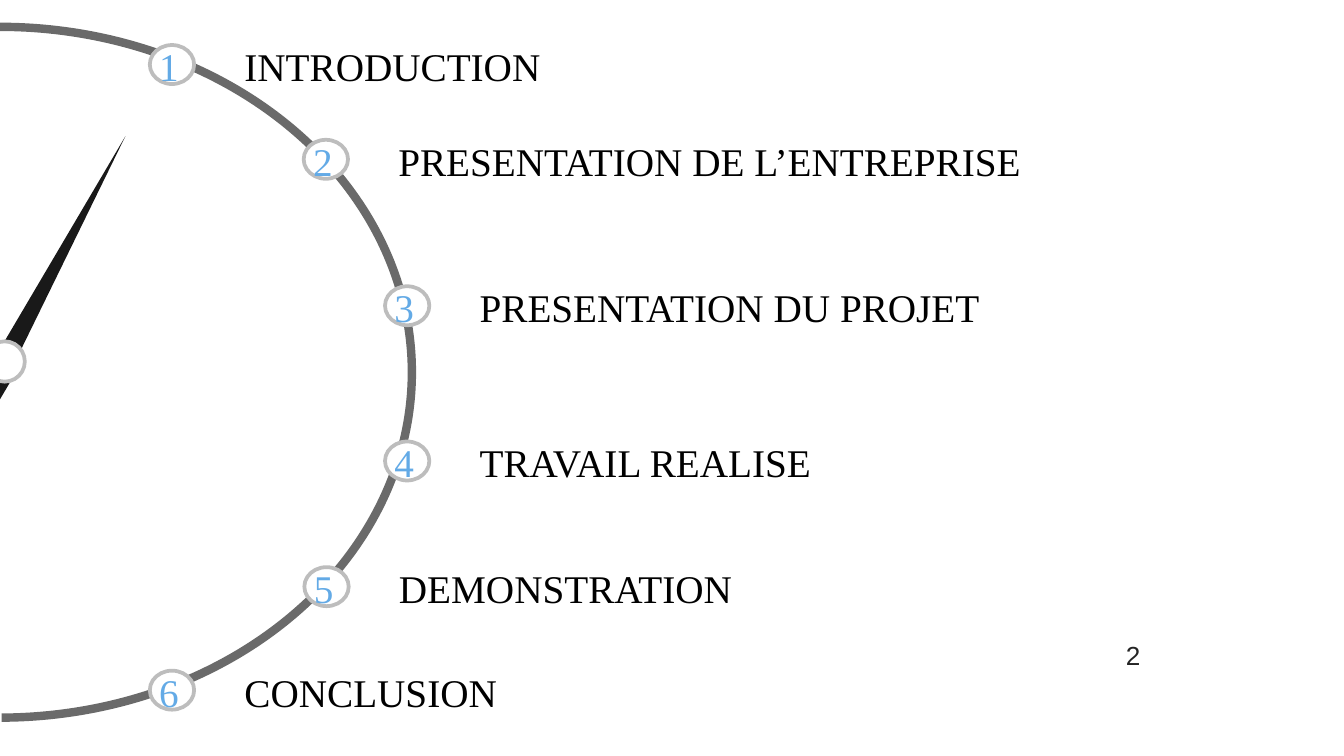
from dataclasses import dataclass

from pptx import Presentation
from pptx.dml.color import RGBColor
from pptx.enum.shapes import MSO_SHAPE
from pptx.enum.text import MSO_ANCHOR, MSO_AUTO_SIZE, PP_ALIGN
from pptx.util import Emu, Pt

EMU_PER_PX = 4572


@dataclass(frozen=True)
class Theme:
    """Colours, fonts and type sizes of the agenda."""

    background: str = "FFFFFF"
    hand: str = "191919"
    dial: str = "6A6A6A"
    ring: str = "BDBDBD"
    number: str = "63AAE6"
    title: str = "000000"
    page_number: str = "242424"
    agenda_font: str = "Times New Roman"
    page_font: str = "Arial"
    agenda_size: int = 21
    page_size: int = 14


THEME = Theme()

AGENDA = [
    ("INTRODUCTION", 223, 67, 656),
    ("PRESENTATION DE L’ENTREPRISE", 452, 208, 1044),
    ("PRESENTATION DU PROJET", 573, 426, 876),
    ("TRAVAIL REALISE", 573, 657, 656),
    ("DEMONSTRATION", 453, 844, 1226),
    ("CONCLUSION", 223, 998, 656),
]


def px(length):
    """Turn a length in px into EMU."""
    return Emu(length * EMU_PER_PX)


def add_text(slide, text, box, *, font, size, color, inset=20, grow=True):
    """Add a left-aligned text box in the given format."""
    shape = slide.shapes.add_textbox(*map(px, box))
    frame = shape.text_frame
    frame.word_wrap = True
    frame.auto_size = MSO_AUTO_SIZE.SHAPE_TO_FIT_TEXT if grow else MSO_AUTO_SIZE.NONE
    frame.vertical_anchor = MSO_ANCHOR.TOP
    frame.margin_left = frame.margin_right = px(inset)
    frame.margin_top = frame.margin_bottom = px(10)
    paragraph = frame.paragraphs[0]
    paragraph.alignment = PP_ALIGN.LEFT
    run = paragraph.add_run()
    run.text = text
    run.font.name = font
    run.font.size = Pt(size)
    run.font.color.rgb = RGBColor.from_string(color)
    return shape


def add_figure(shapes, kind, box, *, fill=None, line=None, line_width=2, rotation=0):
    """Add a preset shape with an optional fill and outline."""
    shape = shapes.add_shape(kind, *map(px, box))
    shape.shadow.inherit = False
    shape.rotation = rotation
    if fill:
        shape.fill.solid()
        shape.fill.fore_color.rgb = RGBColor.from_string(fill)
    else:
        shape.fill.background()
    if line:
        shape.line.color.rgb = RGBColor.from_string(line)
        shape.line.width = Pt(line_width)
    else:
        shape.line.fill.background()
    return shape


def add_ring(slide, box):
    """Add a white circle with a grey outline."""
    return add_figure(slide.shapes, MSO_SHAPE.OVAL, box, fill=THEME.background, line=THEME.ring)


def add_clock(slide):
    """Draw the clock hands, the hub and the half dial."""
    hands = slide.shapes.add_group_shape().shapes
    for box, rotation in [((80, 180, 30, 386), 28.3), ((-88, 510, 30, 386), 208.3)]:
        add_figure(hands, MSO_SHAPE.ISOSCELES_TRIANGLE, box, fill=THEME.hand, rotation=rotation)
    add_ring(slide, (-23, 508, 60, 60))
    dial = add_figure(
        slide.shapes, MSO_SHAPE.ARC, (-613, 40, 1226, 1028), line=THEME.dial, line_width=4.5
    )
    dial.adjustments[0] = 162
    dial.adjustments[1] = 53.826


def add_agenda_item(slide, number, title, left, top, title_width):
    """Add a numbered ring on the dial and its title."""
    style = {"font": THEME.agenda_font, "size": THEME.agenda_size}
    text_top = top - 14
    add_ring(slide, (left, top, 66, 58))
    add_text(slide, str(number), (left + 14, text_top, 8, 90), color=THEME.number, inset=0, **style)
    add_text(slide, title, (left + 121, text_top, title_width, 90), color=THEME.title, **style)


def main():
    """Build the agenda slide and save it."""
    presentation = Presentation()
    presentation.slide_width, presentation.slide_height = px(2000), px(1125)
    slide = presentation.slides.add_slide(presentation.slide_layouts[6])
    slide.background.fill.solid()
    slide.background.fill.fore_color.rgb = RGBColor.from_string(THEME.background)
    add_text(
        slide, "2", (1656, 942, 148, 82), font=THEME.page_font, size=THEME.page_size,
        color=THEME.page_number, grow=False,
    )
    add_clock(slide)
    for number, item in enumerate(AGENDA, start=1):
        add_agenda_item(slide, number, *item)
    presentation.save("out.pptx")


if __name__ == "__main__":
    main()
